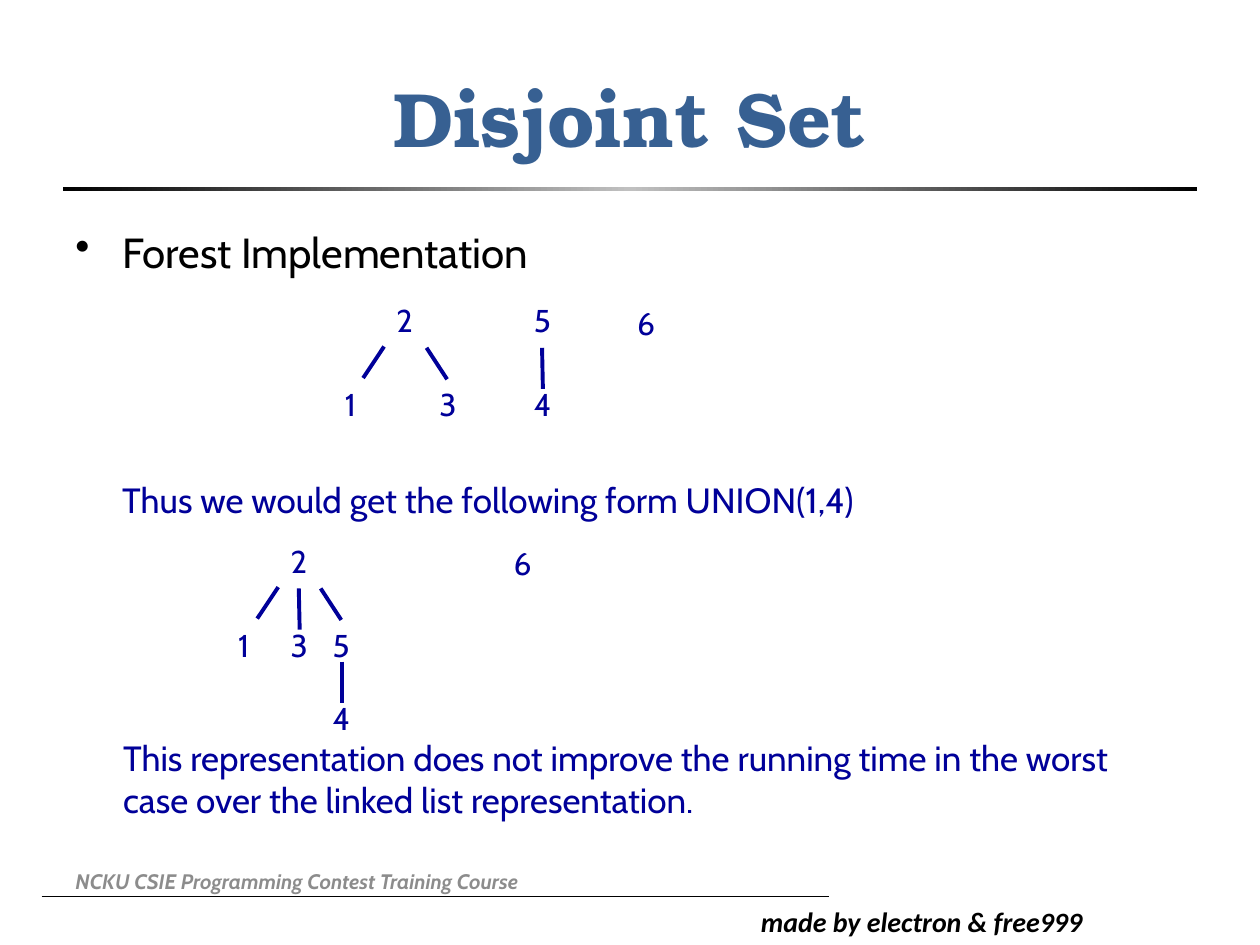
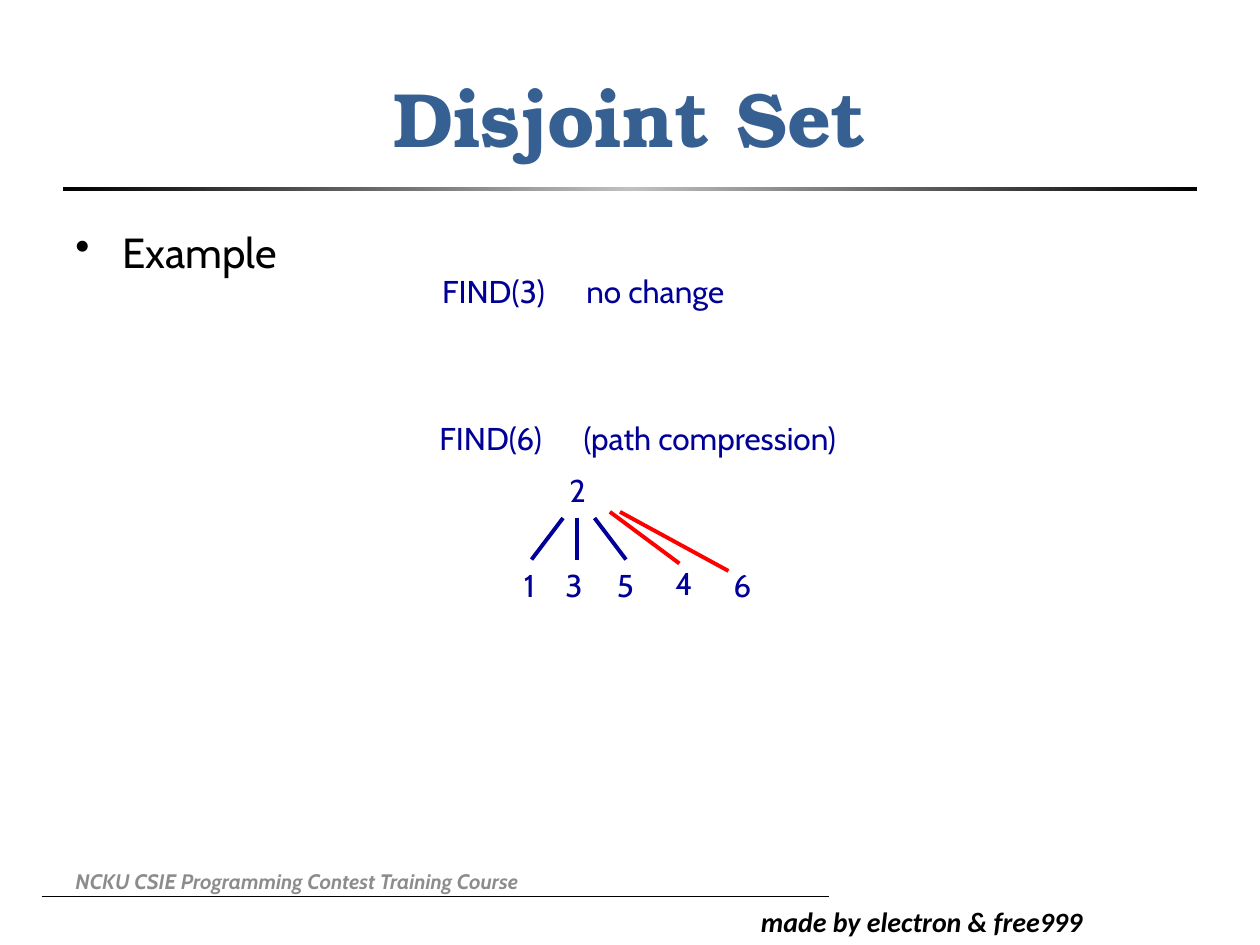
"""Build two slides on disjoint-set forests."""
from copy import deepcopy
from dataclasses import dataclass
from typing import Any, NamedTuple

from lxml import etree
from pptx import Presentation
from pptx import util as u
from pptx.dml.color import RGBColor
from pptx.enum import shapes, text
from pptx.oxml.ns import qn

BLACK = RGBColor(0x00, 0x00, 0x00)
SILVER = RGBColor(0xC0, 0xC0, 0xC0)
GRAY = RGBColor(0x8C, 0x8C, 0x8C)
STEEL = RGBColor(0x37, 0x60, 0x92)
NAVY = RGBColor(0x00, 0x00, 0x99)
RED = RGBColor(0xFF, 0x00, 0x00)

MIDDLE = {"vertical_anchor": text.MSO_ANCHOR.MIDDLE, "word_wrap": True}
WRAPPED = {"word_wrap": True}
GROWING = {"word_wrap": False, "auto_size": text.MSO_AUTO_SIZE.SHAPE_TO_FIT_TEXT}

TITLE = {"name": "TeX Gyre Bonum", "size": u.Pt(44), "bold": True}
COURSE = {"name": "Cabin", "size": u.Pt(12), "bold": True, "italic": True}
CREDIT = {"name": "Calibri", "size": u.Pt(16), "bold": True, "italic": True}
TOPIC = {"name": "Cabin", "size": u.Pt(24)}
REMARK = {"name": "Cabin", "size": u.Pt(20)}
NODE = {"name": "Cabin", "size": u.Pt(18)}

NODE_WIDTH, NODE_HEIGHT = 24.5, 29
INDENT = 27
RESULT_TAB = 82.5


class Area(NamedTuple):
    """A rectangle in points."""

    left: float
    top: float
    width: float
    height: float


class Branch(NamedTuple):
    """A line measured in points from the corner of its parent node."""

    x1: float
    y1: float
    x2: float
    y2: float
    color: RGBColor = NAVY


LEFT = Branch(0, 29.5, -12, 47.5)
RIGHT = Branch(24.25, 30.25, 36, 48.25)
DOWN = Branch(11.75, 30.25, 12.25, 53.75)
STUB = Branch(12.25, 23.75, 12.25, 47.5)
WIDE_LEFT = Branch(3.5, 30.25, -14.5, 54)
WIDE_DOWN = Branch(11.5, 30.25, 11.5, 54)
WIDE_RIGHT = Branch(21.5, 30.25, 39.5, 54)
MOVED_SIX = Branch(36, 26.75, 98, 60.5, RED)
MOVED_FOUR = Branch(30.25, 26.75, 70, 56.25, RED)


@dataclass(frozen=True)
class Node:
    """A tree node and the branches that leave it."""

    key: str
    left: float
    top: float
    branches: tuple[Branch, ...] = ()


@dataclass(frozen=True)
class Remark:
    """A blue note; a tab in a line leads to the result column."""

    lines: tuple[str, ...]
    area: Area
    font: dict[str, Any]


@dataclass(frozen=True)
class Lesson:
    """The content of one slide."""

    topic: str
    topic_area: Area
    remarks: tuple[Remark, ...]
    nodes: tuple[Node, ...]


LESSONS = (
    Lesson(
        "Forest Implementation",
        Area(36, 126, 571.5, 42.5),
        (
            Remark(("Thus we would get the following form UNION(1,4)",),
                   Area(62.75, 270, 460, 31), REMARK),
            Remark(("This representation does not improve the running time in the worst",
                    "case over the linked list representation."),
                   Area(63.25, 417.5, 652, 55.5), REMARK),
        ),
        (
            Node("2", 219.5, 168.5, (LEFT, RIGHT)),
            Node("1", 190, 216.75),
            Node("3", 244, 216.75),
            Node("5", 298, 168.5, (DOWN,)),
            Node("4", 298, 216.75),
            Node("6", 357, 170),
            Node("2", 159, 306, (LEFT, DOWN, RIGHT)),
            Node("1", 129, 354.25),
            Node("3", 159, 354.25),
            Node("5", 183, 354.25, (STUB,)),
            Node("4", 183, 396),
            Node("6", 286.5, 307.5),
        ),
    ),
    Lesson(
        "Example",
        Area(36, 126, 648, 356.5),
        (
            Remark(("FIND(3)\tno change",), Area(245.5, 152, 195, 29), NODE),
            Remark(("FIND(6)\t(path compression)",), Area(244, 236, 266.5, 29), NODE),
        ),
        (
            Node("2", 318.25, 265.75,
                 (WIDE_LEFT, WIDE_DOWN, WIDE_RIGHT, MOVED_SIX, MOVED_FOUR)),
            Node("1", 292.25, 319.75),
            Node("3", 316, 319.75),
            Node("5", 345.5, 319.75),
            Node("4", 378.75, 319),
            Node("6", 412, 319.75),
        ),
    ),
)


def apply(target: Any, values: dict[str, Any]) -> None:
    """Set each named attribute on the target."""
    for name, value in values.items():
        setattr(target, name, value)


def add_text(page: Any, lines: tuple[str, ...], area: Area, font: dict[str, Any],
             color: RGBColor, frame: dict[str, Any]) -> Any:
    """Add a text box with one paragraph per line and return its frame."""
    box = page.shapes.add_textbox(*map(u.Pt, area))
    apply(box.text_frame, frame)
    for number, line in enumerate(lines):
        para = box.text_frame.add_paragraph() if number else box.text_frame.paragraphs[0]
        if "\t" in line:
            stops = etree.SubElement(para._p.get_or_add_pPr(), qn("a:tabLst"))
            etree.SubElement(stops, qn("a:tab"), pos=str(u.Pt(RESULT_TAB)), algn="l")
        span = para.add_run()
        span.text = line
        apply(span.font, font)
        span.font.color.rgb = color
    return box.text_frame


def add_line(page: Any, branch: Branch, weight: float) -> None:
    """Add a straight line without a shadow."""
    line = page.shapes.add_connector(
        shapes.MSO_CONNECTOR.STRAIGHT, *map(u.Pt, branch[:4]))
    line.line.color.rgb = branch.color
    line.line.width = u.Pt(weight)
    etree.SubElement(line._element.spPr, qn("a:effectLst"))


def add_title_rule(page: Any) -> None:
    """Add the bar under the title, fading to silver in the middle."""
    bar = page.shapes.add_shape(
        shapes.MSO_SHAPE.RECTANGLE, *map(u.Pt, Area(36, 106.75, 648, 2.25)))
    bar.shadow.inherit = False
    bar.line.fill.background()
    bar.fill.gradient()
    bar.fill.gradient_angle = 0
    stops = bar._element.spPr.find(".//" + qn("a:gsLst"))
    stops.append(deepcopy(stops[0]))
    for stop, position, color in zip(
            bar.fill.gradient_stops, (0, 0.5, 1), (BLACK, SILVER, BLACK)):
        stop.position = position
        stop.color.rgb = color


def add_frame(page: Any) -> None:
    """Add the title, rule and footer that every slide shares."""
    add_line(page, Branch(23.75, 512, 473.75, 512, BLACK), 0.5)
    add_text(page, ("made by electron & free999",), Area(427.75, 513.5, 221, 26.5),
             CREDIT, BLACK, WRAPPED)
    add_title_rule(page)
    title = add_text(page, ("Disjoint Set",), Area(36, 21.5, 648, 90),
                     TITLE, STEEL, MIDDLE)
    title.paragraphs[0].alignment = text.PP_ALIGN.CENTER
    add_text(page, ("NCKU CSIE Programming Contest Training Course",),
             Area(36, 489, 335.5, 29), COURSE, GRAY, MIDDLE)


def add_topic(page: Any, topic: str, area: Area) -> None:
    """Add the bulleted topic line."""
    para = add_text(page, (topic,), area, TOPIC, BLACK, WRAPPED).paragraphs[0]
    para.alignment = text.PP_ALIGN.JUSTIFY
    layout = para._p.get_or_add_pPr()
    layout.set("marL", str(u.Pt(INDENT)))
    layout.set("indent", str(-u.Pt(INDENT)))
    etree.SubElement(layout, qn("a:buChar"), char="•")


def add_node(page: Any, node: Node) -> None:
    """Add a node's key and its branches."""
    add_text(page, (node.key,), Area(node.left, node.top, NODE_WIDTH, NODE_HEIGHT),
             NODE, NAVY, GROWING)
    for branch in node.branches:
        add_line(page, Branch(node.left + branch.x1, node.top + branch.y1,
                              node.left + branch.x2, node.top + branch.y2,
                              branch.color), 2.25)


def main() -> None:
    """Build and save the deck."""
    deck = Presentation()
    apply(deck, {"slide_width": u.Pt(720), "slide_height": u.Pt(540)})
    for lesson in LESSONS:
        page = deck.slides.add_slide(deck.slide_layouts[6])
        add_frame(page)
        add_topic(page, lesson.topic, lesson.topic_area)
        for remark in lesson.remarks:
            add_text(page, remark.lines, remark.area, remark.font, NAVY, GROWING)
        for node in lesson.nodes:
            add_node(page, node)
    deck.save("out.pptx")


if __name__ == "__main__":
    main()
